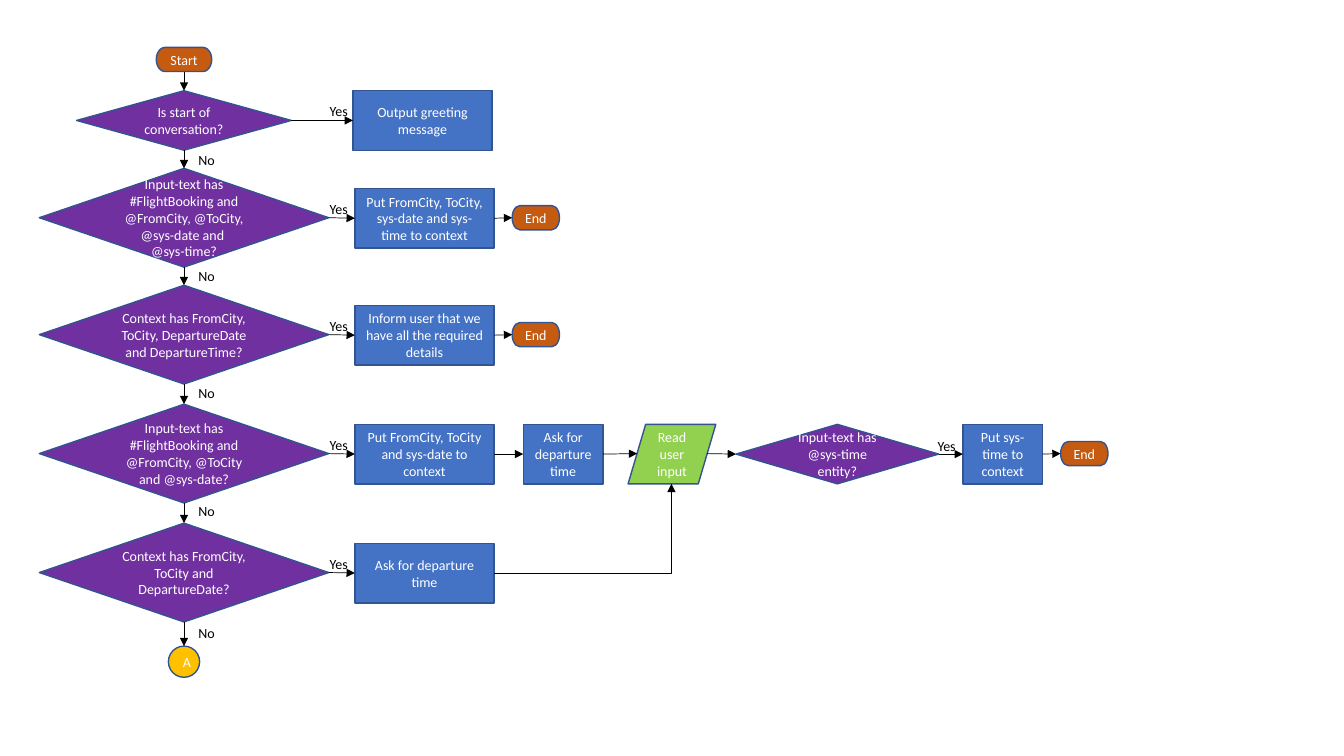
import pptx
import pptx.util
import pptx.dml.color
import pptx.enum.shapes
import pptx.enum.text
import pptx.oxml.ns
import lxml.etree

PX = 9144
MSO = pptx.enum.shapes.MSO_SHAPE
LINK = pptx.enum.shapes.MSO_CONNECTOR
ALIGN = pptx.enum.text.PP_ALIGN
qn = pptx.oxml.ns.qn
rgb = pptx.dml.color.RGBColor.from_string
DIAMOND, BOX, PILL = MSO.FLOWCHART_DECISION, MSO.FLOWCHART_PROCESS, MSO.FLOWCHART_TERMINATOR
INPUT, CIRCLE = MSO.FLOWCHART_DATA, MSO.FLOWCHART_CONNECTOR
FILLS = {DIAMOND: "7030A0", BOX: "4472C4", PILL: "C55A11", INPUT: "92D050", CIRCLE: "FFC000"}
TOP, LEFT, BOTTOM, RIGHT = range(4)

prs = pptx.Presentation()
prs.slide_width = 1333 * PX
prs.slide_height = 750 * PX
s = prs.slides.add_slide(prs.slide_layouts[6])


def add_text(text, left, top, width, height, kind=None):
    box = [v * PX for v in (left, top, width, height)]
    if kind is None:
        sp = s.shapes.add_textbox(*box)
    else:
        sp = s.shapes.add_shape(kind, *box)
        sp.shadow.inherit = False
        sp.fill.solid()
        sp.fill.fore_color.rgb = rgb(FILLS[kind])
        sp.line.color.rgb = rgb("325491")
        sp.line.width = pptx.util.Pt(1)
    tf = sp.text_frame
    tf.text = text
    tf.word_wrap = True
    if kind is None:
        tf.auto_size = pptx.enum.text.MSO_AUTO_SIZE.SHAPE_TO_FIT_TEXT
    else:
        tf.vertical_anchor = pptx.enum.text.MSO_ANCHOR.MIDDLE
    for p in tf.paragraphs:
        p.alignment = ALIGN.LEFT if kind is None else ALIGN.CENTER
        for r in p.runs:
            r.font.size = pptx.util.Pt(10)
            r.font.name = "Calibri"
            r.font.color.rgb = rgb("000000" if kind is None else "FFFFFF")
    return sp


def add_arrow(start, start_side, end, end_side, kind=LINK.STRAIGHT):
    x1, y1, x2, y2 = [
        v * PX if isinstance(v, int) else 0
        for v in (*(start if isinstance(start, tuple) else (0, 0)),
                  *(end if isinstance(end, tuple) else (0, 0)))
    ]
    c = s.shapes.add_connector(kind, x1, y1, x2, y2)
    if not isinstance(start, tuple):
        c.begin_connect(start, start_side)
    if not isinstance(end, tuple):
        c.end_connect(end, end_side)
    c.line.color.rgb = rgb("000000")
    c.line.width = pptx.util.Pt(0.5)
    ln = c.line._get_or_add_ln()
    lxml.etree.SubElement(ln, qn("a:tailEnd"), type="triangle")
    lxml.etree.SubElement(c._element.spPr, qn("a:effectLst"))
    return c


rows = [
    (119, 76, 213, 59, "Is start of conversation?",
     350, "Output greeting message", False, 145),
    (216, 39, 287, 98,
     "Input-text has #FlightBooking and @FromCity, @ToCity, @sys-date and \n@sys-time?",
     352, "Put FromCity, ToCity, sys-date and sys-time to context", True, 260),
    (332, 39, 287, 98, "Context has FromCity, ToCity, DepartureDate and DepartureTime?",
     352, "Inform user that we have all the required details", True, 377),
    (450, 39, 287, 98, "Input-text has #FlightBooking and @FromCity, @ToCity and @sys-date?",
     352, "Put FromCity, ToCity and sys-date to context", False, 494),
    (568, 39, 287, 98, "Context has FromCity, ToCity and DepartureDate?",
     352, "Ask for departure time", False, 615),
]

previous = add_text("Start", 155, 47, 55, 24, PILL)
actions = []
for mid, left, width, height, question, action_left, action_text, ends, no_top in rows:
    decision = add_text(question, left, mid - height // 2, width, height, DIAMOND)
    action = add_text(action_text, action_left, mid - 29, 138, 59, BOX)
    add_arrow(previous, BOTTOM, decision, TOP)
    add_arrow(decision, RIGHT, action, LEFT)
    add_text("Yes", 317, mid - 22, 42, 27)
    add_text("No", 187, no_top, 42, 27)
    if ends:
        end = add_text("End", 508, mid - 12, 47, 24, PILL)
        add_arrow(action, RIGHT, end, LEFT)
    actions.append(action)
    previous = decision
exit_a = add_text("A", 167, 641, 31, 31, CIRCLE)
add_arrow(previous, BOTTOM, exit_a, TOP)

ask_time = add_text("Ask for departure time", 519, 421, 79, 59, BOX)
read_input = add_text("Read user input", 623, 421, 87, 59, INPUT)
has_time = add_text("Input-text has @sys-time entity?", 730, 421, 201, 59, DIAMOND)
put_time = add_text("Put sys-time to context", 955, 421, 79, 59, BOX)
end = add_text("End", 1052, 438, 47, 24, PILL)
add_text("Yes", 920, 429, 42, 27)
add_arrow(actions[3], RIGHT, ask_time, LEFT)
add_arrow(ask_time, RIGHT, (632, 450), LEFT)
add_arrow((701, 450), RIGHT, has_time, LEFT)
add_arrow(has_time, RIGHT, put_time, LEFT)
add_arrow(put_time, RIGHT, end, LEFT)

bent = add_arrow(actions[4], RIGHT, (666, 480), BOTTOM, LINK.ELBOW)
bent._element.spPr.find(qn("a:prstGeom")).set("prst", "bentConnector2")

prs.save("out.pptx")
